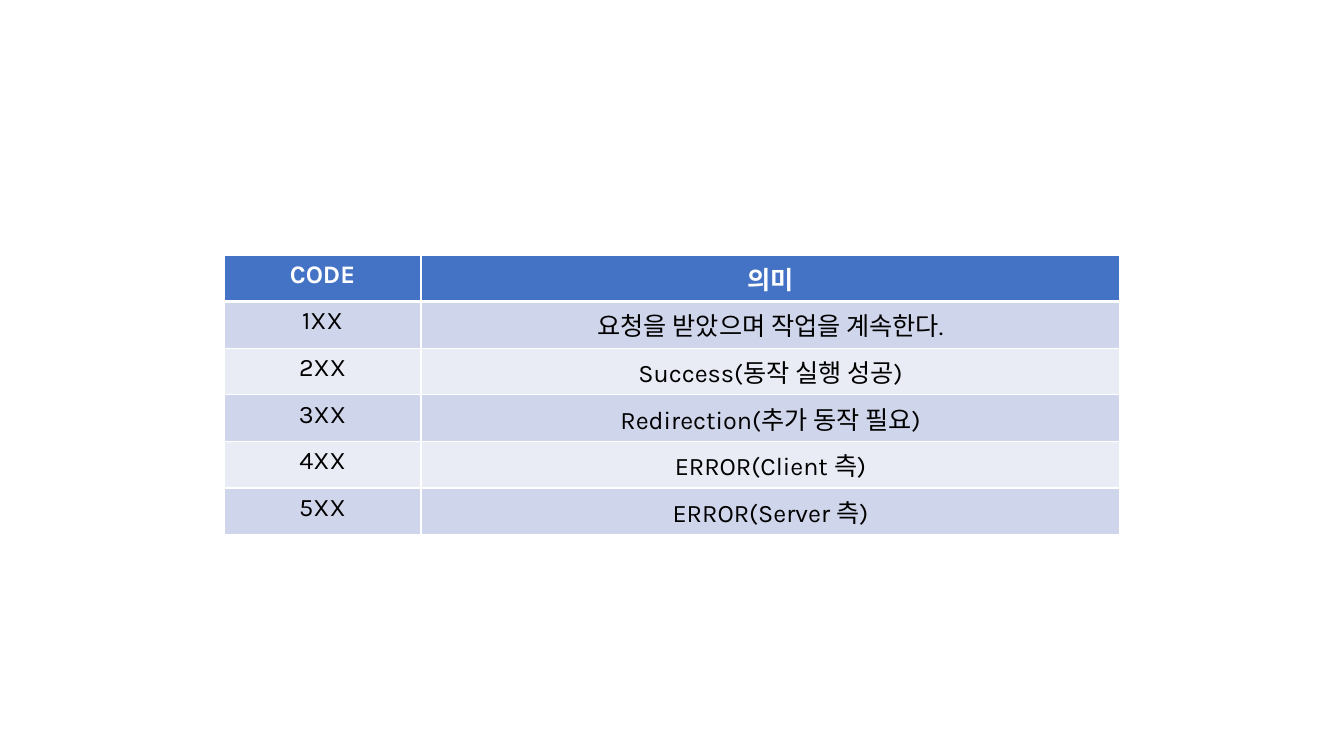
import lxml.etree
import pptx
import pptx.dml.color
import pptx.enum.text
import pptx.oxml.ns
import pptx.util

WHITE = pptx.dml.color.RGBColor(0xFF, 0xFF, 0xFF)
BLACK = pptx.dml.color.RGBColor(0x00, 0x00, 0x00)
BLUE = pptx.dml.color.RGBColor(0x44, 0x72, 0xC4)
BAND_DARK = pptx.dml.color.RGBColor(0xCF, 0xD5, 0xEA)
BAND_LIGHT = pptx.dml.color.RGBColor(0xE9, 0xEB, 0xF5)

STATUS_ROWS = [
    ("CODE", "의미"),
    ("1XX", "요청을 받았으며 작업을 계속한다."),
    ("2XX", "Success(동작 실행 성공)"),
    ("3XX", "Redirection(추가 동작 필요)"),
    ("4XX", "ERROR(Client 측)"),
    ("5XX", "ERROR(Server 측)"),
]


def px(length):
    return pptx.util.Emu(round(length * 914400 / 100.8))


class StatusPage:
    def __init__(self, deck, font_name, font_size):
        self.page = deck.slides.add_slide(deck.slide_layouts[6])
        self.font_name = font_name
        self.font_size = font_size

    def border(self, cell, side, points):
        properties = cell._tc.get_or_add_tcPr()
        line = lxml.etree.SubElement(
            properties, pptx.oxml.ns.qn(f"a:ln{side}"), w=str(pptx.util.Pt(points))
        )
        fill = lxml.etree.SubElement(line, pptx.oxml.ns.qn("a:solidFill"))
        lxml.etree.SubElement(fill, pptx.oxml.ns.qn("a:srgbClr"), val=str(WHITE))

    def cell(self, cell, text, row):
        header = row == 0
        widths = {"L": 1, "R": 1, "T": 3 if row == 1 else 1, "B": 3 if header else 1}
        for side, points in widths.items():
            self.border(cell, side, points)
        cell.fill.solid()
        band = BAND_DARK if row % 2 else BAND_LIGHT
        cell.fill.fore_color.rgb = BLUE if header else band
        cell.text = text
        para = cell.text_frame.paragraphs[0]
        para.alignment = pptx.enum.text.PP_ALIGN.CENTER
        para.font.name = self.font_name
        para.font.size = pptx.util.Pt(self.font_size)
        para.font.bold = header
        para.font.color.rgb = WHITE if header else BLACK

    def table(self, left, top, column_widths, row_height, rows):
        frame = self.page.shapes.add_table(
            len(rows), len(column_widths), px(left), px(top),
            px(sum(column_widths)), px(row_height * len(rows)),
        )
        table = frame.table
        for column, width in zip(table.columns, column_widths):
            column.width = px(width)
        for row, texts in enumerate(rows):
            table.rows[row].height = px(row_height)
            for column, text in enumerate(texts):
                self.cell(table.cell(row, column), text, row)


def main():
    deck = pptx.Presentation()
    deck.slide_width = px(1344)
    deck.slide_height = px(756)
    page = StatusPage(deck, "Karla", 18)
    page.table(224, 255, [197, 699], 41, STATUS_ROWS)
    deck.save("out.pptx")


if __name__ == "__main__":
    main()
